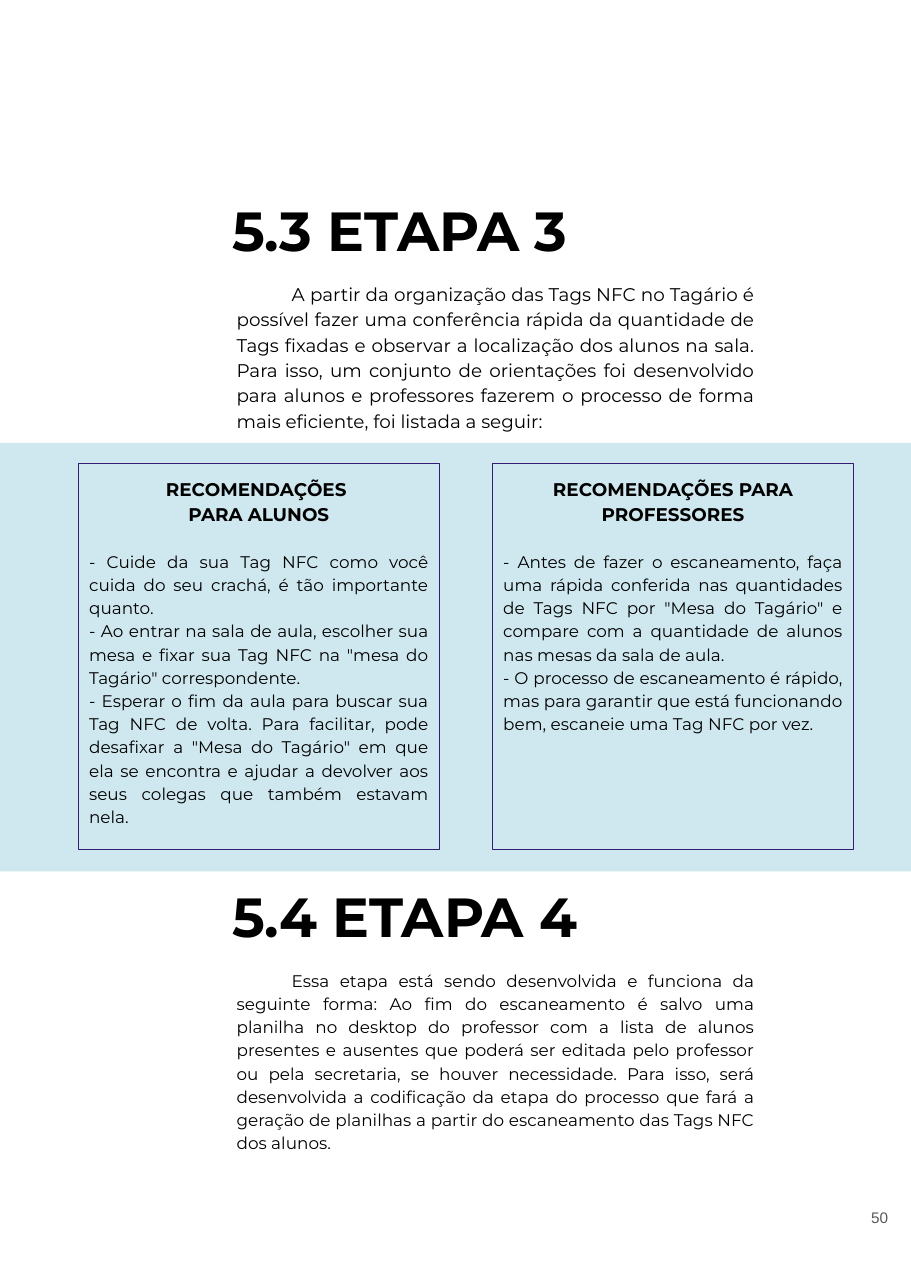
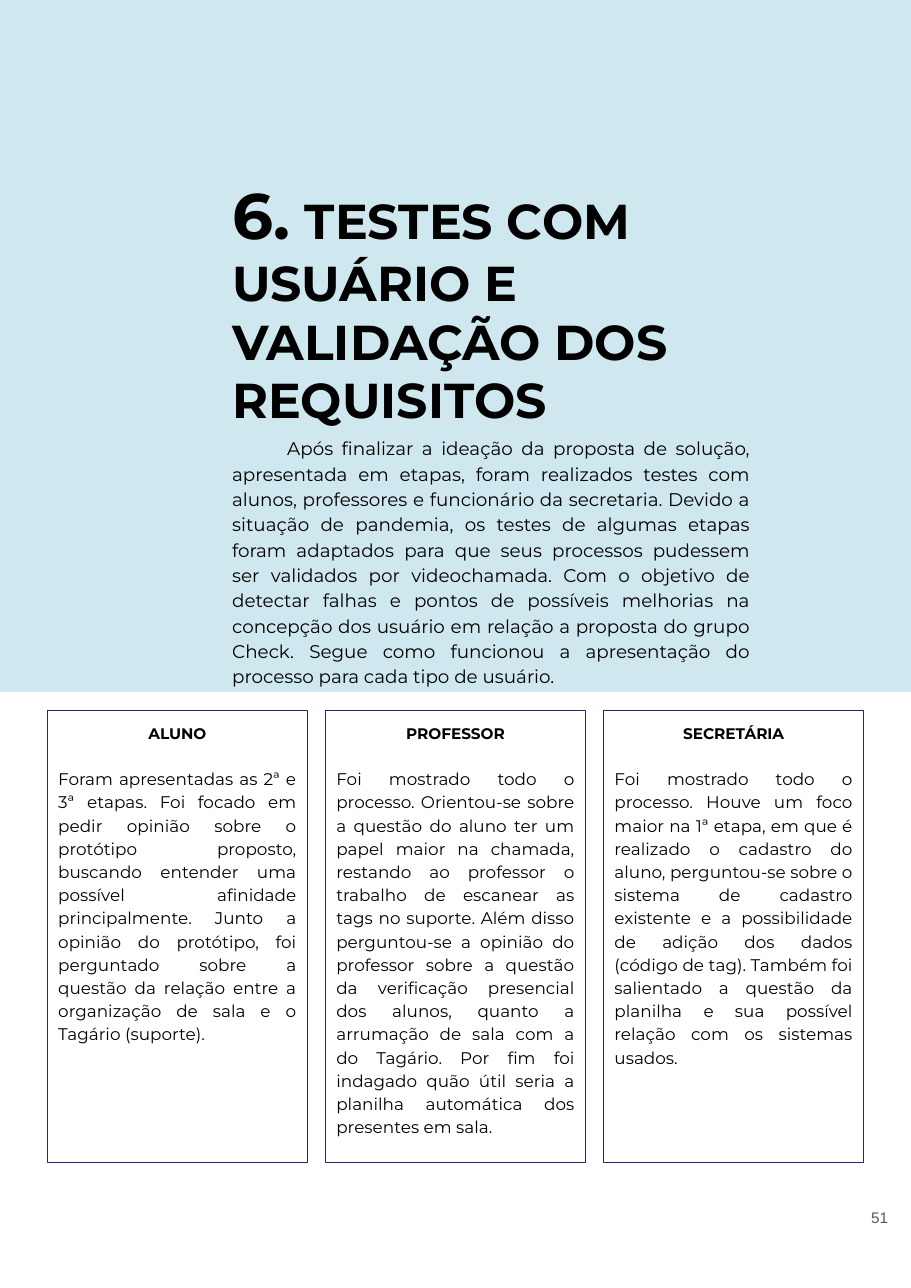
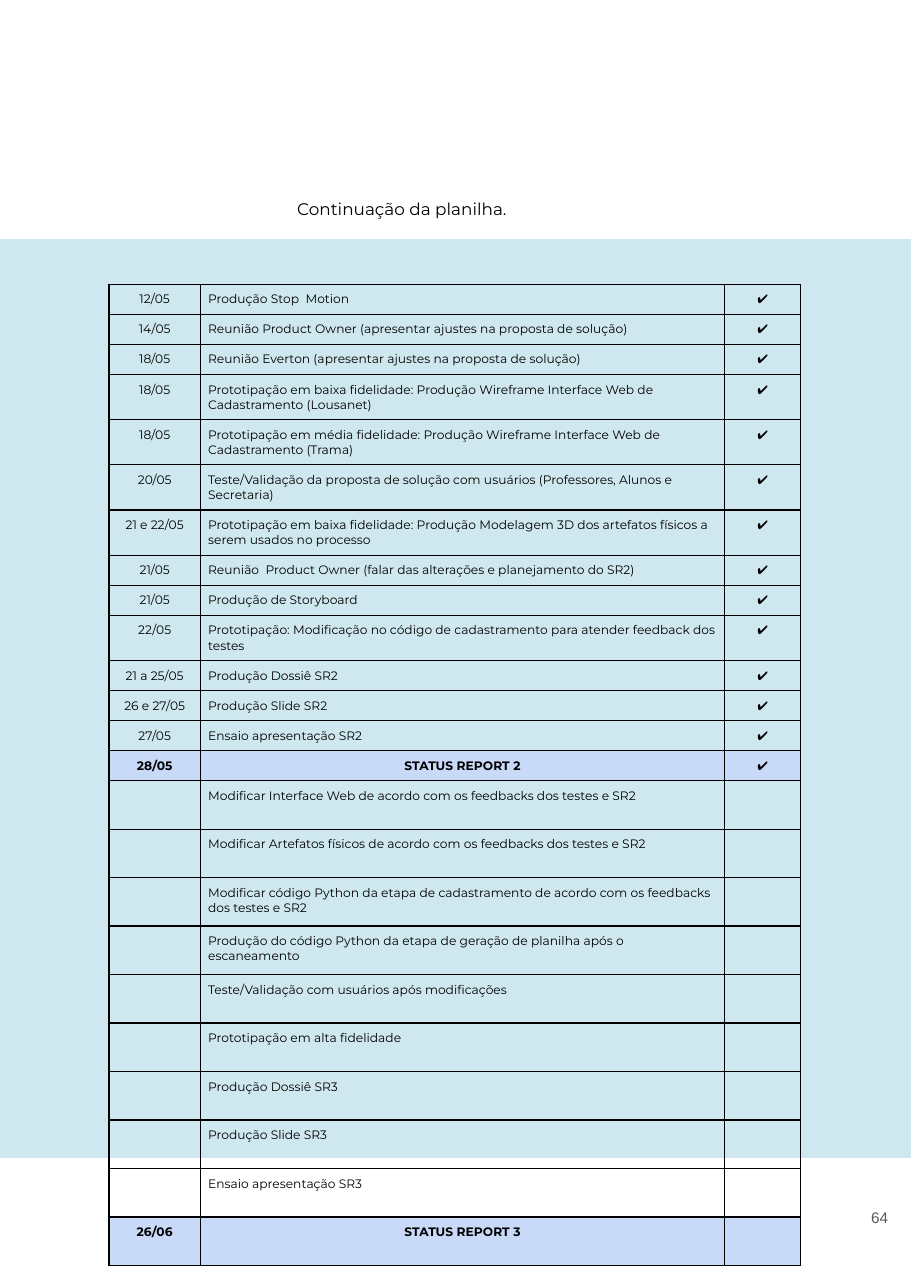
import pptx
import pptx.dml.color
import pptx.enum.shapes
import pptx.enum.text
import pptx.oxml
import pptx.oxml.ns
import pptx.util

BLACK = pptx.dml.color.RGBColor(0x00, 0x00, 0x00)
GREY = pptx.dml.color.RGBColor(0x59, 0x59, 0x59)
PALE_BLUE = pptx.dml.color.RGBColor(0xCF, 0xE8, 0xEF)
LILAC = pptx.dml.color.RGBColor(0xC9, 0xDA, 0xF8)
PURPLE = pptx.dml.color.RGBColor(0x35, 0x1C, 0x75)

ALIGN = pptx.enum.text.PP_ALIGN
ANCHOR = pptx.enum.text.MSO_ANCHOR
RECTANGLE = pptx.enum.shapes.MSO_SHAPE.RECTANGLE

TEXT_LEFT = 24.3
TEXT_WIDTH = 59.25
SINGLE_ROW, DOUBLE_ROW, PENDING_ROW = 2.31, 3.51, 3.59


def write(frame, text, size=11, bold=False, align=ALIGN.JUSTIFY, spacing=1.15,
          indent=0, after=0, font="Montserrat", color=BLACK):
    """Add a paragraph given as a string or as (string, size) runs."""
    paragraph = frame.paragraphs[0]
    if paragraph.runs:
        paragraph = frame.add_paragraph()
    paragraph.alignment = align
    paragraph.line_spacing = spacing
    paragraph.space_after = pptx.util.Pt(after)
    if indent:
        properties = paragraph._p.get_or_add_pPr()
        properties.set("marL", "0")
        properties.set("indent", str(pptx.util.Inches(indent)))
    for run_text, run_size in [(text, size)] if isinstance(text, str) else text:
        run = paragraph.add_run()
        run.text = run_text
        run.font.name = font
        run.font.size = pptx.util.Pt(run_size)
        run.font.bold = bold
        run.font.color.rgb = color


class Report:
    """Hold the page style and the current slide; lengths are percent of the page."""

    def __init__(self):
        self.presentation = pptx.Presentation()
        self.presentation.slide_width = pptx.util.Inches(8.27)
        self.presentation.slide_height = pptx.util.Inches(11.69)
        self.slide = None

    def across(self, share):
        return round(self.presentation.slide_width * share / 100)

    def down(self, share):
        return round(self.presentation.slide_height * share / 100)

    def place(self, left, top, width, height):
        return self.across(left), self.down(top), self.across(width), self.down(height)

    def inset(self, frame):
        frame.word_wrap = True
        frame.margin_left = frame.margin_right = pptx.util.Inches(0.1)
        frame.margin_top = frame.margin_bottom = pptx.util.Inches(0.1)
        return frame

    def page(self, band_top, band_height):
        self.slide = self.presentation.slides.add_slide(self.presentation.slide_layouts[6])
        band = self.rectangle(0, band_top, 100, band_height)
        band.fill.solid()
        band.fill.fore_color.rgb = PALE_BLUE
        band.line.fill.background()

    def rectangle(self, *place):
        shape = self.slide.shapes.add_shape(RECTANGLE, *self.place(*place))
        shape.shadow.inherit = False
        return shape

    def text(self, place, text, anchor=ANCHOR.TOP, **style):
        box = self.slide.shapes.add_textbox(*self.place(*place))
        frame = self.inset(box.text_frame)
        frame.vertical_anchor = anchor
        write(frame, text, **style)

    def title(self, top, text, height=7.44, align=ALIGN.JUSTIFY):
        self.text((TEXT_LEFT, top, TEXT_WIDTH, height), text, size=36, bold=True,
                  align=align, spacing=1)

    def body(self, top, height, text, left=24.79, size=12):
        self.text((left, top, TEXT_WIDTH, height), text, size=size, indent=0.5)

    def number(self, value):
        self.text((92.62, 90.68, 6.05, 7.61), value, anchor=ANCHOR.MIDDLE, size=10,
                  align=ALIGN.RIGHT, spacing=1, font="Arial", color=GREY)

    def panel(self, place, headings, paragraphs, heading_size):
        shape = self.rectangle(*place)
        shape.fill.background()
        shape.line.color.rgb = PURPLE
        shape.line.width = pptx.util.Pt(0.75)
        frame = self.inset(shape.text_frame)
        frame.vertical_anchor = ANCHOR.TOP
        for heading in headings:
            write(frame, heading, size=heading_size, bold=True, align=ALIGN.CENTER,
                  after=15 if heading == headings[-1] else 0)
        for paragraph in paragraphs:
            write(frame, paragraph)

    def cell(self, cell, text, milestone, centred):
        cell.margin_left = cell.margin_right = pptx.util.Inches(0.07)
        cell.margin_top = cell.margin_bottom = pptx.util.Inches(0.07)
        for side in ("lnL", "lnR", "lnT", "lnB"):
            cell._tc.get_or_add_tcPr().append(pptx.oxml.parse_xml(
                f'<a:{side} {pptx.oxml.ns.nsdecls("a")} w="12700"><a:solidFill>'
                f'<a:srgbClr val="{BLACK}"/></a:solidFill></a:{side}>'))
        if milestone:
            cell.fill.solid()
            cell.fill.fore_color.rgb = LILAC
        else:
            cell.fill.background()
        if text:
            write(cell.text_frame, text, size=8, bold=milestone, spacing=1,
                  align=ALIGN.CENTER if centred or milestone else ALIGN.LEFT)

    def schedule(self, left, top, widths, rows):
        heights = [height for height, *_ in rows]
        table = self.slide.shapes.add_table(
            len(rows), len(widths),
            *self.place(left, top, sum(widths), sum(heights))).table
        table.first_row = table.horz_banding = False
        for column, width in zip(table.columns, widths):
            column.width = self.across(width)
        for row, (height, date, task) in zip(table.rows, rows):
            row.height = self.down(height)
            milestone = task.startswith("STATUS")
            check = "✔" if date and date != "26/06" else ""
            for index, text in enumerate((date, task, check)):
                self.cell(row.cells[index], text, milestone, centred=index != 1)


STAGE_PANELS = [
    (["RECOMENDAÇÕES ", "PARA ALUNOS"], [
        "- Cuide da sua Tag NFC como você cuida do seu crachá, é tão importante quanto.",
        "- Ao entrar na sala de aula, escolher sua mesa e fixar sua Tag NFC na \"mesa do "
        "Tagário\" correspondente.",
        "- Esperar o fim da aula para buscar sua Tag NFC de volta. Para facilitar, pode "
        "desafixar a \"Mesa do Tagário\" em que ela se encontra e ajudar a devolver aos "
        "seus colegas que também estavam nela."]),
    (["RECOMENDAÇÕES PARA PROFESSORES"], [
        "- Antes de fazer o escaneamento, faça uma rápida conferida nas quantidades de "
        "Tags NFC por \"Mesa do Tagário\" e compare com a quantidade de alunos nas mesas "
        "da sala de aula. ",
        "- O processo de escaneamento é rápido, mas para garantir que está funcionando "
        "bem, escaneie uma Tag NFC por vez."]),
]

USER_PANELS = [
    ("ALUNO",
     "Foram apresentadas as 2ª e 3ª etapas. Foi focado em pedir opinião sobre o protótipo "
     "proposto, buscando entender uma possível afinidade principalmente. Junto a opinião do "
     "protótipo, foi perguntado sobre a questão da relação entre a organização de sala e o "
     "Tagário (suporte)."),
    ("PROFESSOR",
     "Foi mostrado todo o processo. Orientou-se sobre a questão do aluno ter um papel maior "
     "na chamada, restando ao professor o trabalho de escanear as tags no suporte. Além disso "
     "perguntou-se a opinião do professor sobre a questão da verificação presencial dos "
     "alunos, quanto a arrumação de sala com a do Tagário. Por fim foi indagado quão útil "
     "seria a planilha automática dos presentes em sala. "),
    ("SECRETÁRIA",
     "Foi mostrado todo o processo. Houve um foco maior na 1ª etapa, em que é realizado o "
     "cadastro do aluno, perguntou-se sobre o sistema de cadastro existente e a possibilidade "
     "de adição dos dados (código de tag). Também foi salientado a questão da planilha e sua "
     "possível relação com os sistemas usados."),
]

SCHEDULE = [
    (SINGLE_ROW, "12/05", "Produção Stop  Motion"),
    (SINGLE_ROW, "14/05", "Reunião Product Owner (apresentar ajustes na proposta de solução)"),
    (SINGLE_ROW, "18/05", "Reunião Everton (apresentar ajustes na proposta de solução)"),
    (DOUBLE_ROW, "18/05", "Prototipação em baixa fidelidade: Produção Wireframe Interface Web "
     "de Cadastramento (Lousanet)"),
    (DOUBLE_ROW, "18/05", "Prototipação em média fidelidade: Produção Wireframe Interface Web "
     "de Cadastramento (Trama)"),
    (DOUBLE_ROW, "20/05", "Teste/Validação da proposta de solução com usuários (Professores, "
     "Alunos e Secretaria)"),
    (DOUBLE_ROW, "21 e 22/05", "Prototipação em baixa fidelidade: Produção Modelagem 3D dos "
     "artefatos físicos a serem usados no processo"),
    (SINGLE_ROW, "21/05", "Reunião  Product Owner (falar das alterações e planejamento do SR2)"),
    (SINGLE_ROW, "21/05", "Produção de Storyboard"),
    (DOUBLE_ROW, "22/05", "Prototipação: Modificação no código de cadastramento para atender "
     "feedback dos testes"),
    (SINGLE_ROW, "21 a 25/05", "Produção Dossiê SR2"),
    (SINGLE_ROW, "26 e 27/05", "Produção Slide SR2"),
    (SINGLE_ROW, "27/05", "Ensaio apresentação SR2"),
    (SINGLE_ROW, "28/05", "STATUS REPORT 2"),
    (PENDING_ROW, "", "Modificar Interface Web de acordo com os feedbacks dos testes e SR2"),
    (PENDING_ROW, "", "Modificar Artefatos físicos de acordo com os feedbacks dos testes e SR2"),
    (PENDING_ROW, "", "Modificar código Python da etapa de cadastramento de acordo com os "
     "feedbacks dos testes e SR2"),
    (PENDING_ROW, "", "Produção do código Python da etapa de geração de planilha após o "
     "escaneamento"),
    (PENDING_ROW, "", "Teste/Validação com usuários após modificações"),
    (PENDING_ROW, "", "Prototipação em alta fidelidade"),
    (PENDING_ROW, "", "Produção Dossiê SR3"),
    (PENDING_ROW, "", "Produção Slide SR3"),
    (PENDING_ROW, "", "Ensaio apresentação SR3"),
    (PENDING_ROW, "26/06", "STATUS REPORT 3"),
]


def stages_page(report):
    report.page(34.39, 33.28)
    report.title(14.37, "5.3 ETAPA 3")
    report.body(20.87, 13.43,
                "A partir da organização das Tags NFC no Tagário é possível fazer uma "
                "conferência rápida da quantidade de Tags fixadas e observar a localização dos "
                "alunos na sala. Para isso, um conjunto de orientações foi desenvolvido para "
                "alunos e professores fazerem o processo de forma mais eficiente, foi listada a "
                "seguir:")
    report.title(67.66, "5.4 ETAPA 4")
    report.body(74.25, 17.1,
                "Essa etapa está sendo desenvolvida e funciona da seguinte forma: Ao fim do "
                "escaneamento é salvo uma planilha no desktop do professor com a lista de alunos "
                "presentes e ausentes que poderá ser editada pelo professor ou pela secretaria, "
                "se houver necessidade. Para isso, será desenvolvida a codificação da etapa do "
                "processo que fará a geração de planilhas a partir do escaneamento das Tags NFC "
                "dos alunos. ", size=11)
    for column, (headings, paragraphs) in enumerate(STAGE_PANELS):
        report.panel((8.59 + 45.46 * column, 36.01, 39.66, 29.94), headings, paragraphs, 12)
    report.number("50")


def tests_page(report):
    report.page(0, 53.72)
    report.title(12.75, [("6.", 42), (" ", 33),
                         ("TESTES COM USUÁRIO E VALIDAÇÃO DOS REQUISITOS", 32)],
                 height=20.1, align=ALIGN.LEFT)
    report.body(32.85, 20.87,
                "Após finalizar a ideação da proposta de solução, apresentada em etapas, foram "
                "realizados testes com alunos, professores e funcionário da secretaria. Devido a "
                "situação de pandemia, os testes de algumas etapas foram adaptados para que seus "
                "processos pudessem ser validados por videochamada. Com o objetivo de detectar "
                "falhas e pontos de possíveis melhorias na concepção dos usuário em relação a "
                "proposta do grupo Check. Segue como funcionou a apresentação do processo para "
                "cada tipo de usuário. ", left=TEXT_LEFT)
    for column, (heading, paragraph) in enumerate(USER_PANELS):
        report.panel((5.2 + 30.53 * column, 55.18, 28.54, 35.07), [heading], [paragraph], 10)
    report.number("51")


def schedule_page(report):
    report.page(18.56, 71.34)
    report.schedule(11.97, 22.07, (10.04, 57.56, 8.34), SCHEDULE)
    report.body(14.37, 5.82, "Continuação da planilha.", left=25.39, size=11)
    report.number("64")


def main():
    report = Report()
    stages_page(report)
    tests_page(report)
    schedule_page(report)
    report.presentation.save("out.pptx")


if __name__ == "__main__":
    main()
